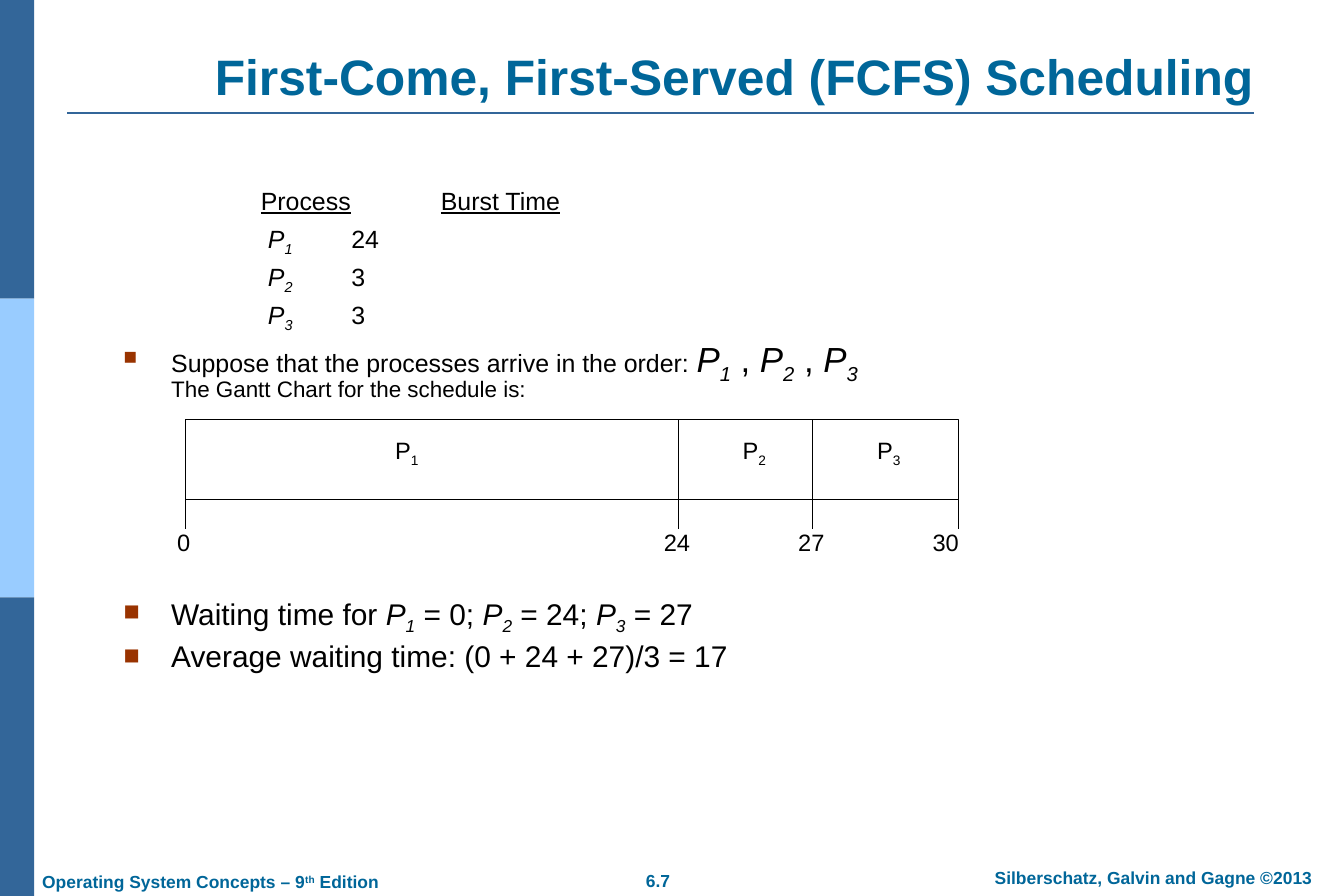
from lxml.etree import SubElement
from pptx import Presentation
from pptx.dml.color import RGBColor
from pptx.enum.shapes import MSO_CONNECTOR, MSO_SHAPE
from pptx.enum.text import MSO_ANCHOR, PP_ALIGN
from pptx.oxml.ns import qn
from pptx.util import Inches, Pt

NAVY, SKY, TEAL, RUST = "336699", "99CCFF", "006699", "993300"
BLACK, WHITE = "000000", "FFFFFF"

prs = Presentation()
prs.slide_width, prs.slide_height = Inches(15), Inches(10)
COL, ROW = prs.slide_width // 15, prs.slide_height // 10
s = prs.slides.add_slide(prs.slide_layouts[6])


def add_box(x, y, w, h, inset=(0.14, 0.07), anchor=MSO_ANCHOR.TOP, wrap=True):
    """Add a text box placed in columns and rows; return its text frame."""
    tf = s.shapes.add_textbox(int(x * COL), int(y * ROW), int(w * COL), int(h * ROW)).text_frame
    tf.margin_left = tf.margin_right = Inches(inset[0])
    tf.margin_top = tf.margin_bottom = Inches(inset[1])
    tf.vertical_anchor, tf.word_wrap = anchor, wrap
    return tf


def add_runs(p, pieces, size, color=BLACK, bold=False):
    """Add (text, marks) runs; marks: i italic, u underline, _ subscript, ^ superscript."""
    for text, marks in pieces:
        r = p.add_run()
        r.text = text
        f = r.font
        f.name, f.size, f.bold = "Arial", Pt(size), bold
        f.italic, f.underline = "i" in marks, "u" in marks
        f.color.rgb = RGBColor.from_string(color)
        if "_" in marks or "^" in marks:
            r._r.get_or_add_rPr().set("baseline", "-25000" if "_" in marks else "30000")


# Side bar in three equal parts
bar_height = prs.slide_height / 3
for i, color in enumerate((NAVY, SKY, NAVY)):
    sp = s.shapes.add_shape(MSO_SHAPE.RECTANGLE, 0, int(i * bar_height),
                            int(0.38 * COL), int(bar_height))
    sp.shadow.inherit = False
    sp.fill.solid()
    sp.fill.fore_color.rgb = RGBColor.from_string(color)
    sp.line.fill.background()

# Title and footer
tf = add_box(1.63, 0.58, 13.13, 0.67, anchor=MSO_ANCHOR.BOTTOM)
tf.paragraphs[0].alignment = PP_ALIGN.CENTER
add_runs(tf.paragraphs[0], [("First-Come, First-Served (FCFS) Scheduling", "")], 40, TEAL, True)

footers = [
    (0.33, 9.65, 4.05, PP_ALIGN.LEFT,
     [("Operating System Concepts – 9", ""), ("th", "^"), (" Edition", "")]),
    (6.65, 9.64, 1.39, PP_ALIGN.CENTER, [("6.7", "")]),
    (10.65, 9.61, 4.45, PP_ALIGN.CENTER, [("Silberschatz, Galvin and Gagne ©2013", "")]),
]
for x, y, w, align, pieces in footers:
    p = add_box(x, y, w, 0.38).paragraphs[0]
    p.alignment = align
    add_runs(p, pieces, 14, TEAL, True)

# Body: process list, then bullets around the Gantt chart
process = {n: [("P", "i"), (str(n), "i_")] for n in (1, 2, 3)}
bursts = {1: 24, 2: 3, 3: 3}
body = add_box(1.24, 2.03, 12.41, 6)

rows = [((1.53, 3.54), [("Process", "u")], [("Burst Time", "u")])]
rows += [((1.61, 2.54), process[n], [(str(burst), "")]) for n, burst in bursts.items()]
for i, (stops, name, value) in enumerate(rows):
    p = body.add_paragraph() if i else body.paragraphs[0]
    p.line_spacing = 0.8
    if i:
        p.space_before = Pt(8.8)
    tabs = SubElement(p._p.get_or_add_pPr(), qn("a:tabLst"))
    for stop in stops:
        SubElement(tabs, qn("a:tab"), pos=str(Inches(stop)), algn="l")
    add_runs(p, [("\t", "")], 20 if i else 23)
    add_runs(p, [*name, ("\t", ""), *value], 20)

bullets = []
for gap in (10, 158.5, 10.5):
    p = body.add_paragraph()
    p.line_spacing, p.space_before = 0.8, Pt(gap)
    pPr = p._p.get_or_add_pPr()
    pPr.set("marL", str(Inches(0.53)))
    pPr.set("indent", str(-Inches(0.53)))
    SubElement(SubElement(pPr, qn("a:buClr")), qn("a:srgbClr"), val=RUST)
    SubElement(pPr, qn("a:buSzPct"), val="90000")
    SubElement(pPr, qn("a:buFont"), typeface="Arial")
    SubElement(pPr, qn("a:buChar"), char="■")
    bullets.append(p)
order, waiting, average = bullets

comma = (" , ", "")
add_runs(order, [("Suppose that the processes arrive in the order: ", "")], 20)
add_runs(order, [*process[1], comma, *process[2], comma, *process[3]], 28)
order.add_line_break()
add_runs(order, [("The Gantt Chart for the schedule is:", "")], 18)
add_runs(waiting, [("Waiting time for ", ""), *process[1], (" = 0; ", ""), *process[2],
                   (" = 24; ", ""), *process[3], (" = 27", "")], 24)
add_runs(average, [("Average waiting time: (0 + 24 + 27)/3 = 17", "")], 24)

# Gantt chart
top, bottom, tick_end = 4.68, 5.57, 5.9
edges = [2.07, 7.57, 9.07, 10.7]
sp = s.shapes.add_shape(MSO_SHAPE.RECTANGLE, int(edges[0] * COL), int(top * ROW),
                        int((edges[-1] - edges[0]) * COL), int((bottom - top) * ROW))
sp.shadow.inherit = False
sp.fill.solid()
sp.fill.fore_color.rgb = RGBColor.from_string(WHITE)
sp.line.color.rgb = RGBColor.from_string(BLACK)
sp.line.width = Pt(0.75)

lines = [(0.75, 1.26, 14, 1.26, NAVY, 1.5)]  # title rule
lines += [(x, bottom, x, tick_end, BLACK, 0.75) for x in edges]
lines += [(x, top, x, bottom, BLACK, 0.75) for x in edges[1:-1]]
for x1, y1, x2, y2, color, width in lines:
    line = s.shapes.add_connector(MSO_CONNECTOR.STRAIGHT, int(x1 * COL), int(y1 * ROW),
                                  int(x2 * COL), int(y2 * ROW))
    line.line.color.rgb = RGBColor.from_string(color)
    line.line.width = Pt(width)
    SubElement(line._element.spPr, qn("a:effectLst"))

labels = [(x, 4.82, 0.46, 0.46, [("P", ""), (str(n), "_")])
          for n, x in enumerate((4.31, 8.19, 9.69), 1)]
labels += [(x, 5.84, w, 0.42, [(time, "")])
           for x, w, time in ((1.88, 0.34, "0"), (7.31, 0.49, "24"),
                              (8.81, 0.49, "27"), (10.31, 0.49, "30"))]
for x, y, w, h, pieces in labels:
    p = add_box(x, y, w, h, (0.1, 0.05), MSO_ANCHOR.MIDDLE, False).paragraphs[0]
    p.alignment = PP_ALIGN.CENTER
    add_runs(p, pieces, 19)

prs.save("out.pptx")
